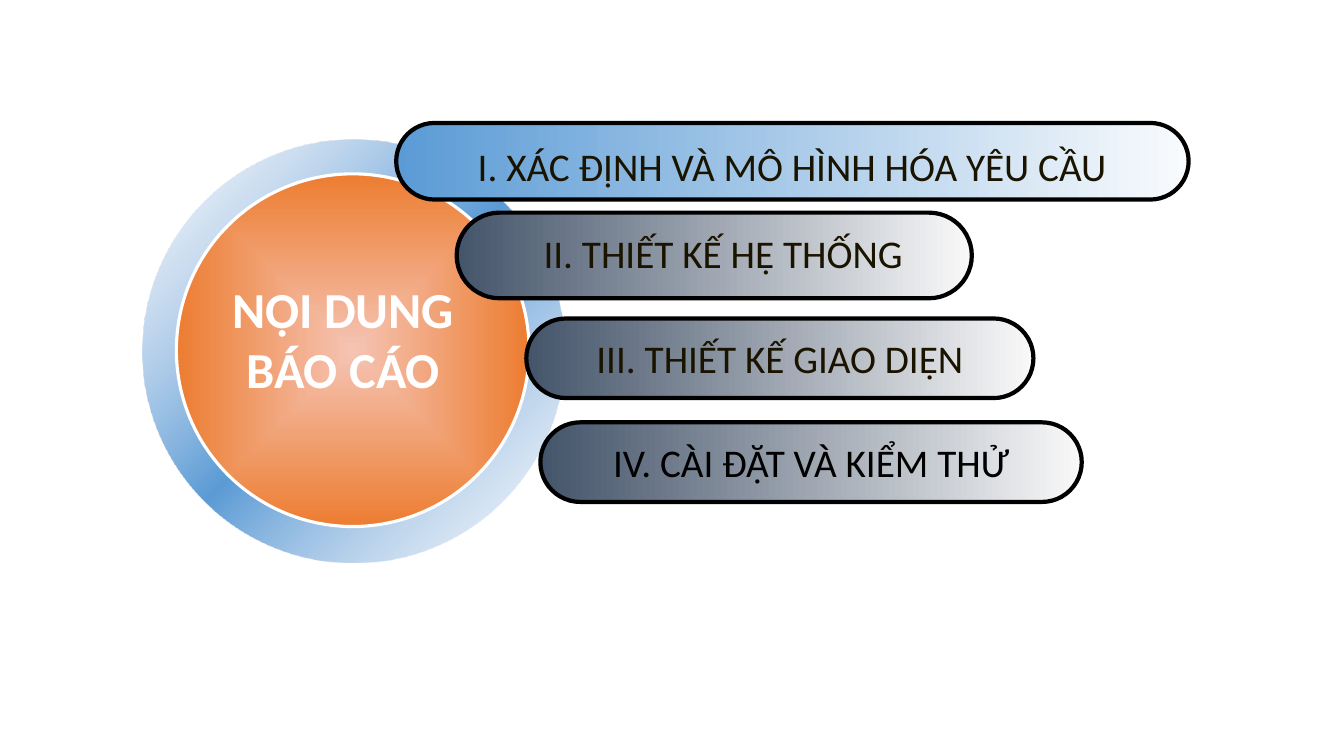
import pptx
import pptx.util
import pptx.dml.color
import pptx.enum.shapes
import pptx.enum.text
import pptx.oxml
import pptx.oxml.ns

SHAPES = pptx.enum.shapes.MSO_SHAPE
ANCHORS = pptx.enum.text.MSO_ANCHOR
NAMESPACE = pptx.oxml.ns.nsdecls("a")
BLACK, WHITE, BROWN, BLUE = "000000", "FFFFFF", "1A1300", "5B9BD5"
SLATE_FADE = [(0, "44546A", 100), (100, "F9F9F9", 100)]
BLUE_FADE = [(0, BLUE, 100), (100, "F9FBFD", 100)]
RING_FADE = [(0, "B4CAE7", 12), (50, BLUE, 100), (100, "B4CAE7", 12)]
DISC_FADE = [(0, "F5C4B4", 100), (100, "ED7D31", 100)]

# Text, colour, gradient, pill box, and label box where it differs from the pill.
# Boxes are left, top, width, height in percent of the slide.
CHAPTERS = [
    ("I. XÁC ĐỊNH VÀ MÔ HÌNH HÓA YÊU CẦU", BROWN, BLUE_FADE,
     (29.48, 16.27, 58.96, 10.13), (30.38, 18.13, 57.09, 7.6)),
    ("II. THIẾT KẾ HỆ THỐNG", BROWN, SLATE_FADE,
     (33.98, 28.13, 38.33, 11.33), (37.21, 29.73, 33.16, 7.6)),
    ("III. THIẾT KẾ GIAO DIỆN", BROWN, SLATE_FADE,
     (39.16, 42.13, 37.73, 10.53), None),
    ("IV. CÀI ĐẶT VÀ KIỂM THỬ", BLACK, SLATE_FADE,
     (40.21, 55.87, 40.28, 10.53), None),
]


def color(hex_string):
    return pptx.dml.color.RGBColor.from_string(hex_string)


def within(box, percents):
    """Turn percentages of a box into an absolute box."""
    left, top, width, height = box
    x, y, w, h = (percent / 100 for percent in percents)
    return (int(left + x * width), int(top + y * height),
            int(w * width), int(h * height))


def fill_gradient(shape, stops, angle=None):
    """Fill along an angle, or from the centre outwards when there is none."""
    stop_xml = "".join(
        f'<a:gs pos="{position * 1000}"><a:srgbClr val="{color(value)}">'
        f'<a:alpha val="{opacity * 1000}"/></a:srgbClr></a:gs>'
        for position, value, opacity in stops)
    if angle is None:
        direction = ('<a:path path="shape"><a:fillToRect l="50000" t="50000" '
                     'r="50000" b="50000"/></a:path>')
    else:
        direction = f'<a:lin ang="{angle * 60000}" scaled="0"/>'
    gradient = pptx.oxml.parse_xml(
        f'<a:gradFill {NAMESPACE} rotWithShape="1"><a:gsLst>{stop_xml}</a:gsLst>'
        f'{direction}</a:gradFill>')
    shape.fill.solid()
    properties = shape.element.spPr
    properties.replace(properties.find(pptx.oxml.ns.qn("a:solidFill")), gradient)


def add_figure(slide, kind, box, stops, angle=None, line=None, line_width=0,
               adjustment=None):
    shape = slide.shapes.add_shape(kind, *box)
    shape.shadow.inherit = False
    if adjustment is not None:
        shape.adjustments[0] = adjustment
    fill_gradient(shape, stops, angle)
    if line:
        shape.line.color.rgb = color(line)
        shape.line.width = pptx.util.Pt(line_width)
    else:
        shape.line.fill.background()
    return shape


def write(shape, text, size=28, value=BLACK, bold=False, wrap=False,
          anchor=ANCHORS.TOP, shadow=False):
    frame = shape.text_frame
    frame.word_wrap = wrap
    frame.vertical_anchor = anchor
    paragraph = frame.paragraphs[0]
    paragraph.alignment = pptx.enum.text.PP_ALIGN.CENTER
    run = paragraph.add_run()
    run.text = text
    font = run.font
    font.name, font.size, font.bold = "Calibri", pptx.util.Pt(size), bold
    font.color.rgb = color(value)
    if shadow:
        effect = pptx.oxml.parse_xml(
            f'<a:effectLst {NAMESPACE}><a:outerShdw dist="35921" dir="2700000">'
            f'<a:srgbClr val="{BLACK}"/></a:outerShdw></a:effectLst>')
        font.fill  # the effect list follows the fill in the run properties
        run.font._element.find(pptx.oxml.ns.qn("a:solidFill")).addnext(effect)


def add_hub(slide, box):
    """Ring with the report title on a disc inside it."""
    add_figure(slide, SHAPES.DONUT, box, RING_FADE, angle=45, adjustment=0.09)
    add_figure(slide, SHAPES.OVAL, within(box, (8.1, 8, 83.5, 83.5)), DISC_FADE,
               line=WHITE, line_width=2.25)


def add_hub_title(slide, box):
    title = slide.shapes.add_textbox(*within(box, (8.6, 31.5, 78, 31.26)))
    write(title, "NỘI DUNG BÁO CÁO", size=36, value=WHITE, bold=True, wrap=True,
          shadow=True)


def add_chapters(slide, box):
    for text, value, stops, pill_box, label_box in CHAPTERS:
        pill = add_figure(slide, SHAPES.ROUNDED_RECTANGLE, within(box, pill_box),
                          stops, angle=0, line=BLACK, line_width=3, adjustment=0.5)
        if label_box:
            label = slide.shapes.add_textbox(*within(box, label_box))
            write(label, text, value=value)
        else:
            write(pill, text, value=value, anchor=ANCHORS.MIDDLE)


def main():
    presentation = pptx.Presentation()
    presentation.slide_width = pptx.util.Inches(13.33)
    presentation.slide_height = pptx.util.Inches(7.5)
    slide = presentation.slides.add_slide(presentation.slide_layouts[6])
    page = (0, 0, presentation.slide_width, presentation.slide_height)
    hub = within(page, (10.58, 18.53, 31.43, 55.87))
    add_hub(slide, hub)
    add_chapters(slide, page)
    add_hub_title(slide, hub)
    presentation.save("out.pptx")


if __name__ == "__main__":
    main()
